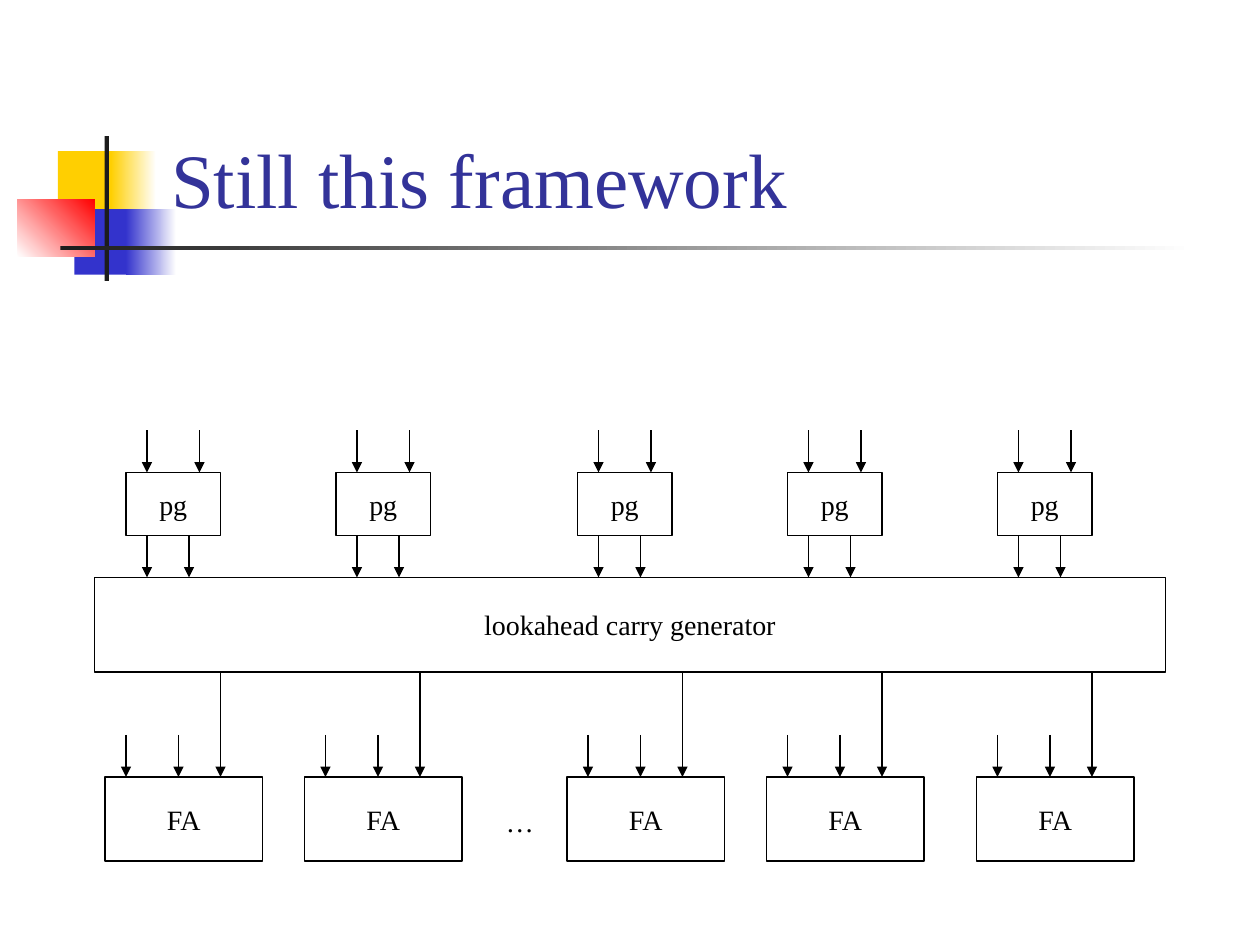
"""Build the slide showing the carry lookahead adder framework."""
from dataclasses import dataclass

from lxml import etree
from pptx import Presentation
from pptx.dml.color import RGBColor
from pptx.enum.shapes import MSO_CONNECTOR, MSO_SHAPE
from pptx.enum.text import MSO_ANCHOR, PP_ALIGN
from pptx.oxml.ns import qn
from pptx.util import Emu, Inches, Pt

RECTANGLE = MSO_SHAPE.RECTANGLE
STRAIGHT = MSO_CONNECTOR.STRAIGHT
TOP, MIDDLE, BOTTOM = MSO_ANCHOR.TOP, MSO_ANCHOR.MIDDLE, MSO_ANCHOR.BOTTOM
LEFT, CENTER = PP_ALIGN.LEFT, PP_ALIGN.CENTER


@dataclass(frozen=True)
class Theme:
    font: str = "Times New Roman"
    title_size: int = 44
    label_size: int = 16
    line_width: float = 0.75
    title: str = "333399"
    ink: str = "000000"
    paper: str = "FFFFFF"
    yellow: str = "FFCF01"
    blue: str = "3333CC"
    red: str = "FF0000"
    bar: str = "1C1C1C"


theme = Theme()
deck = Presentation()
deck.slide_width, deck.slide_height = Inches(10), Inches(7.5)
page = deck.slides.add_slide(deck.slide_layouts[6])
CELL = deck.slide_width / 120


def grid(*cells):
    return [Emu(round(cell * CELL)) for cell in cells]


def write(box, text, size=theme.label_size, color=theme.ink, align=CENTER, anchor=MIDDLE, wrap=False):
    frame = box.text_frame
    frame.word_wrap = wrap
    frame.vertical_anchor = anchor
    para = frame.paragraphs[0]
    para.alignment = align
    span = para.add_run()
    span.text = text
    span.font.name = theme.font
    span.font.size = Pt(size)
    span.font.color.rgb = RGBColor.from_string(color)


ornaments = [
    ((5.52, 14.4, 5.76, 6.24), [theme.yellow], 0),
    ((10.56, 14.4, 4.32, 6.24), [theme.yellow, theme.paper], 0),
    ((7.08, 19.92, 5.52, 6.24), [theme.blue], 0),
    ((12, 19.92, 4.8, 6.24), [theme.blue, theme.paper], 0),
    ((1.68, 18.96, 7.32, 5.52), [theme.paper, theme.red], 45),
    ((9.96, 12.96, 0.42, 13.8), [theme.bar], 0),
    ((5.76, 23.4, 108, 0.42), [theme.bar, theme.paper], 0),
]
for place, colors, angle in ornaments:
    ornament = page.shapes.add_shape(RECTANGLE, *grid(*place))
    ornament.shadow.inherit = False
    ornament.line.fill.background()
    if len(colors) == 1:
        ornament.fill.solid()
        ornament.fill.fore_color.rgb = RGBColor.from_string(colors[0])
    else:
        ornament.fill.gradient()
        ornament.fill.gradient_angle = angle
        for stop, color in zip(ornament.fill.gradient_stops, colors):
            stop.color.rgb = RGBColor.from_string(color)

title = page.shapes.add_textbox(*grid(15.12, 2.76, 102.24, 19.2))
write(title, "Still this framework", size=theme.title_size, color=theme.title,
      align=LEFT, anchor=BOTTOM, wrap=True)

PG_TOP, PG_BOTTOM = 45, 51
GENERATOR_TOP, GENERATOR_BOTTOM = 55, 64
FA_TOP, FA_BOTTOM = 74, 82
INPUT_LENGTH = 4

blocks = [("lookahead carry generator", 9, GENERATOR_TOP, 102, GENERATOR_BOTTOM)]
arrows = []
for pg_left, fa_left in zip((12, 32, 55, 75, 95), (10, 29, 54, 73, 93)):
    blocks += [
        ("pg", pg_left, PG_TOP, 9, PG_BOTTOM),
        ("FA", fa_left, FA_TOP, 15, FA_BOTTOM),
    ]
    arrows += [(pg_left + step, PG_TOP - INPUT_LENGTH, PG_TOP) for step in (2, 7)]
    arrows += [(pg_left + step, PG_BOTTOM, GENERATOR_TOP) for step in (2, 6)]
    arrows += [(fa_left + step, FA_TOP - INPUT_LENGTH, FA_TOP) for step in (2, 7)]
    arrows.append((fa_left + 11, GENERATOR_BOTTOM, FA_TOP))

for text, left, top, width, bottom in blocks:
    block = page.shapes.add_shape(RECTANGLE, *grid(left, top, width, bottom - top))
    block.shadow.inherit = False
    block.fill.background()
    block.line.color.rgb = RGBColor.from_string(theme.ink)
    block.line.width = Pt(theme.line_width)
    write(block, text)

for column, start, end in arrows:
    arrow = page.shapes.add_connector(STRAIGHT, *grid(column, start, column, end))
    arrow.line.color.rgb = RGBColor.from_string(theme.ink)
    arrow.line.width = Pt(theme.line_width)
    etree.SubElement(arrow.line._get_or_add_ln(), qn("a:tailEnd"), type="triangle")
    etree.SubElement(arrow._element.spPr, qn("a:effectLst"))

ellipsis = page.shapes.add_textbox(*grid(47, 76, 5, 4.4))
write(ellipsis, "…", align=LEFT, anchor=TOP)

deck.save("out.pptx")
